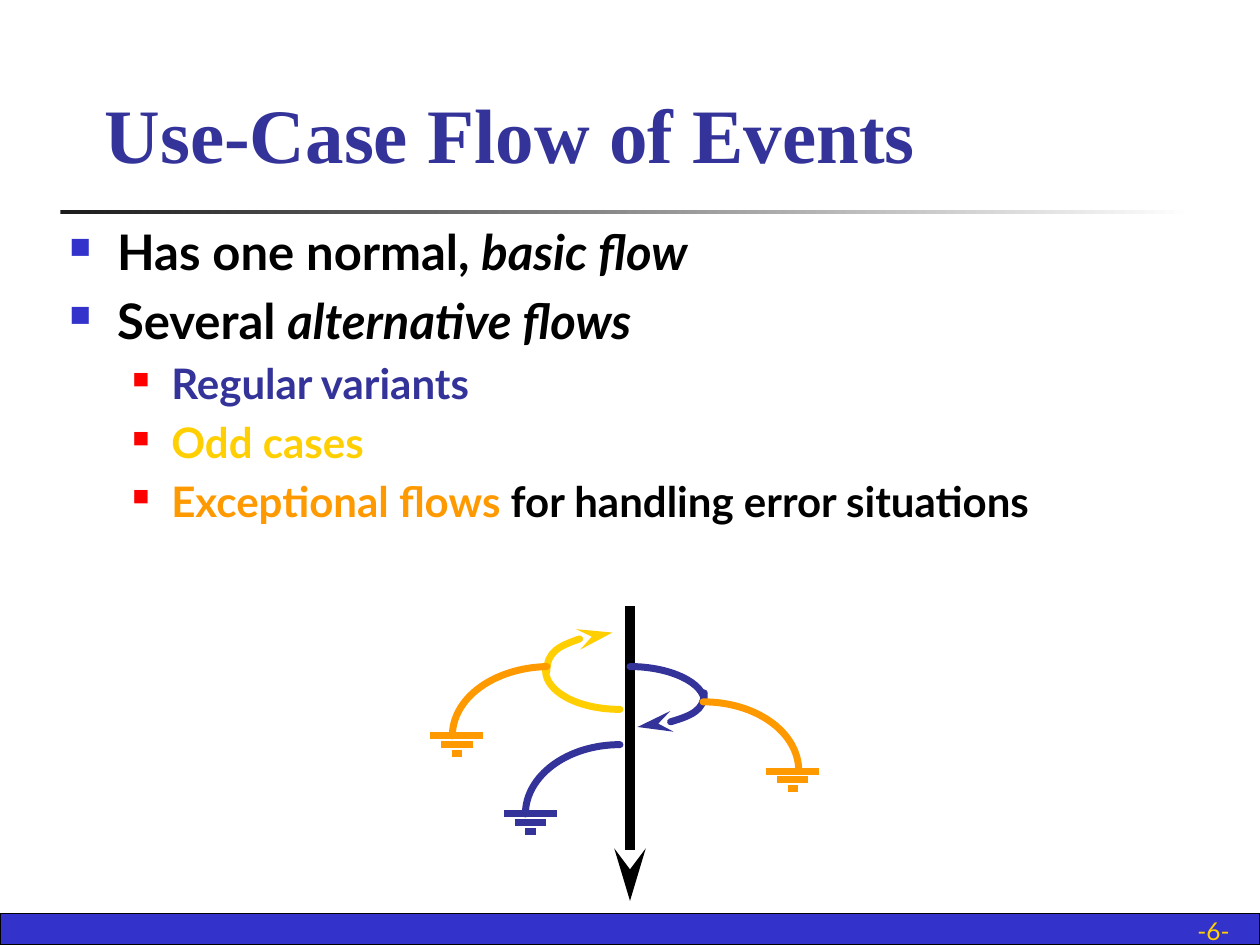
import pptx
import pptx.util
import pptx.dml.color
import pptx.enum.shapes
import pptx.enum.text
import pptx.oxml.ns
from lxml import etree

qn = pptx.oxml.ns.qn
Pt = pptx.util.Pt
BLUE, INDIGO, YELLOW, ORANGE = "3333CC", "333399", "FFCF01", "FF9900"
BLACK, RED = "000000", "FF0000"

presentation = pptx.Presentation()
presentation.slide_width = pptx.util.Inches(10)
presentation.slide_height = pptx.util.Inches(7.5)
slide = presentation.slides.add_slide(presentation.slide_layouts[5])
shapes = slide.shapes


def colour(value):
    return pptx.dml.color.RGBColor.from_string(value)


def cells(*values):
    """Lengths on a grid of 100 columns by 75 rows of square cells."""
    return [round(value * presentation.slide_width / 100) for value in values]


# Footer bar and fading rule under the title
rectangle = pptx.enum.shapes.MSO_SHAPE.RECTANGLE
footer = shapes.add_shape(rectangle, *cells(0, 72.5, 100, 2.5))
footer.fill.solid()
footer.fill.fore_color.rgb = colour(BLUE)
footer.line.color.rgb = colour(BLACK)
footer.line.width = Pt(0.75)
rule = shapes.add_shape(rectangle, *cells(4.8, 16.7, 90, 0.3))
rule.fill.gradient()
rule.fill.gradient_angle = 0
for stop, value in zip(rule.fill.gradient_stops, ("1C1C1C", "FFFFFF")):
    stop.color.rgb = colour(value)
rule.line.fill.background()
for shape in (footer, rule):
    shape.shadow.inherit = False

# Title
title = shapes.title
title.left, title.top, title.width, title.height = cells(7.3, 5.2, 82.9, 10.6)
title.text_frame.text = "Use-Case Flow of Events"
title.text_frame.vertical_anchor = pptx.enum.text.MSO_ANCHOR.MIDDLE
paragraph = title.text_frame.paragraphs[0]
paragraph.alignment = pptx.enum.text.PP_ALIGN.LEFT
font = paragraph.runs[0].font
font.name, font.size, font.bold = "Times New Roman", Pt(44), True
font.color.rgb = colour(INDIGO)

# Page number
number = shapes.add_textbox(*cells(76.8, 71.7, 20.8, 3.3)).text_frame
number.text = "-6-"
number.word_wrap = True
number.vertical_anchor = pptx.enum.text.MSO_ANCHOR.BOTTOM
number.margin_left = number.margin_right = 0
number.margin_top = number.margin_bottom = 0
number.paragraphs[0].alignment = pptx.enum.text.PP_ALIGN.RIGHT
font = number.paragraphs[0].runs[0].font
font.name, font.size = "Lato", Pt(14)
font.color.rgb = colour(YELLOW)

# Bulleted text: level, then runs of text, colour and italic
bullets = [
    (0, [("Has one normal, ", BLACK, False), ("basic flow", BLACK, True)]),
    (0, [("Several ", BLACK, False), ("alternative flows", BLACK, True)]),
    (1, [("Regular variants", INDIGO, False)]),
    (1, [("Odd cases", YELLOW, False)]),
    (1, [("Exceptional flows ", ORANGE, False),
         ("for handling error situations", BLACK, False)]),
]
# Per level: text size, left margin, hanging indent, bullet colour and percent
levels = [(28, 3.8, 3.8, BLUE, 60), (24, 8.1, 3.1, RED, 55)]
body = shapes.add_textbox(*cells(4.3, 17, 92.8, 55.2)).text_frame
body.word_wrap = True
body.margin_left, body.margin_right = cells(1.2, 1.2)
body.margin_top, body.margin_bottom = cells(0.6, 0.6)
for index, (level, runs) in enumerate(bullets):
    size, margin, hanging, bullet_colour, percent = levels[level]
    paragraph = body.add_paragraph() if index else body.paragraphs[0]
    paragraph.level = level
    properties = paragraph._p.get_or_add_pPr()
    left, indent = cells(margin, -hanging)
    properties.set("marL", str(left))
    properties.set("indent", str(indent))
    bullet = etree.SubElement(properties, qn("a:buClr"))
    etree.SubElement(bullet, qn("a:srgbClr"), val=bullet_colour)
    etree.SubElement(properties, qn("a:buSzPct"), val=str(percent * 1000))
    etree.SubElement(properties, qn("a:buChar"), char="■")
    paragraph.space_before = Pt(size * 0.2 if index else 0)
    for text, value, italic in runs:
        run = paragraph.add_run()
        run.text = text
        font = run.font
        font.name, font.size, font.bold, font.italic = "Lato", Pt(size), True, italic
        font.color.rgb = colour(value)

# Flow diagram: points, colour, width and arrow; four points make a curve
strokes = [
    ([(50, 48.1), (50, 71.5)], BLACK, 6, True),
    ([(50, 52.9), (53.2, 52.9), (55.9, 54.2), (55.9, 55.7)], INDIGO, 4, False),
    ([(55.9, 55), (55.9, 56.4), (53.6, 57.6), (50.6, 57.7)], INDIGO, 4, True),
    ([(49.2, 56.3), (45.9, 56.3), (43.3, 54.9), (43.3, 53.2)], YELLOW, 4, False),
    ([(43.4, 53.3), (43.4, 51.7), (45.6, 50.4), (48.6, 50.2)], YELLOW, 4, True),
    ([(55.8, 55.7), (60, 55.7), (63.4, 58.1), (63.4, 61.2)], ORANGE, 4, False),
    ([(41.7, 64.6), (41.7, 61.6), (45, 59.1), (49.2, 59.1)], INDIGO, 4, False),
    ([(35.9, 58.4), (35.9, 55.4), (39.2, 53), (43.4, 52.9)], ORANGE, 4, False),
]
# End symbols: three shrinking bars
for centre, top, value in [(62.9, 61.2, ORANGE), (42.1, 64.6, INDIGO),
                           (36.25, 58.4, ORANGE)]:
    for step, half in enumerate((2.1, 1.25, 0.4)):
        y = top + 0.7 * step
        strokes.append(([(centre - half, y), (centre + half, y)], value, 4, False))

for points, value, width, arrow in strokes:
    corners = [cells(*point) for point in points]
    if len(corners) == 2:
        shape = shapes.add_connector(pptx.enum.shapes.MSO_CONNECTOR.STRAIGHT,
                                     *corners[0], *corners[1])
        etree.SubElement(shape._element.spPr, qn("a:effectLst"))
    else:
        builder = shapes.build_freeform(*corners[0], scale=1.0)
        builder.add_line_segments(corners[1:], close=False)
        shape = builder.convert_to_shape()
        shape.fill.background()
        shape.shadow.inherit = False
        # Turn the three segments into one Bézier curve
        outline = next(shape._element.iter(qn("a:path")))
        curve = etree.SubElement(outline, qn("a:cubicBezTo"))
        for segment in outline.findall(qn("a:lnTo")):
            curve.append(segment[0])
            outline.remove(segment)
    shape.line.color.rgb = colour(value)
    shape.line.width = Pt(width)
    line = shape.line._get_or_add_ln()
    if len(corners) == 4:
        line.set("cap", "rnd")
    if arrow:
        etree.SubElement(line, qn("a:tailEnd"), type="stealth", w="med", len="lg")

presentation.save("out.pptx")
